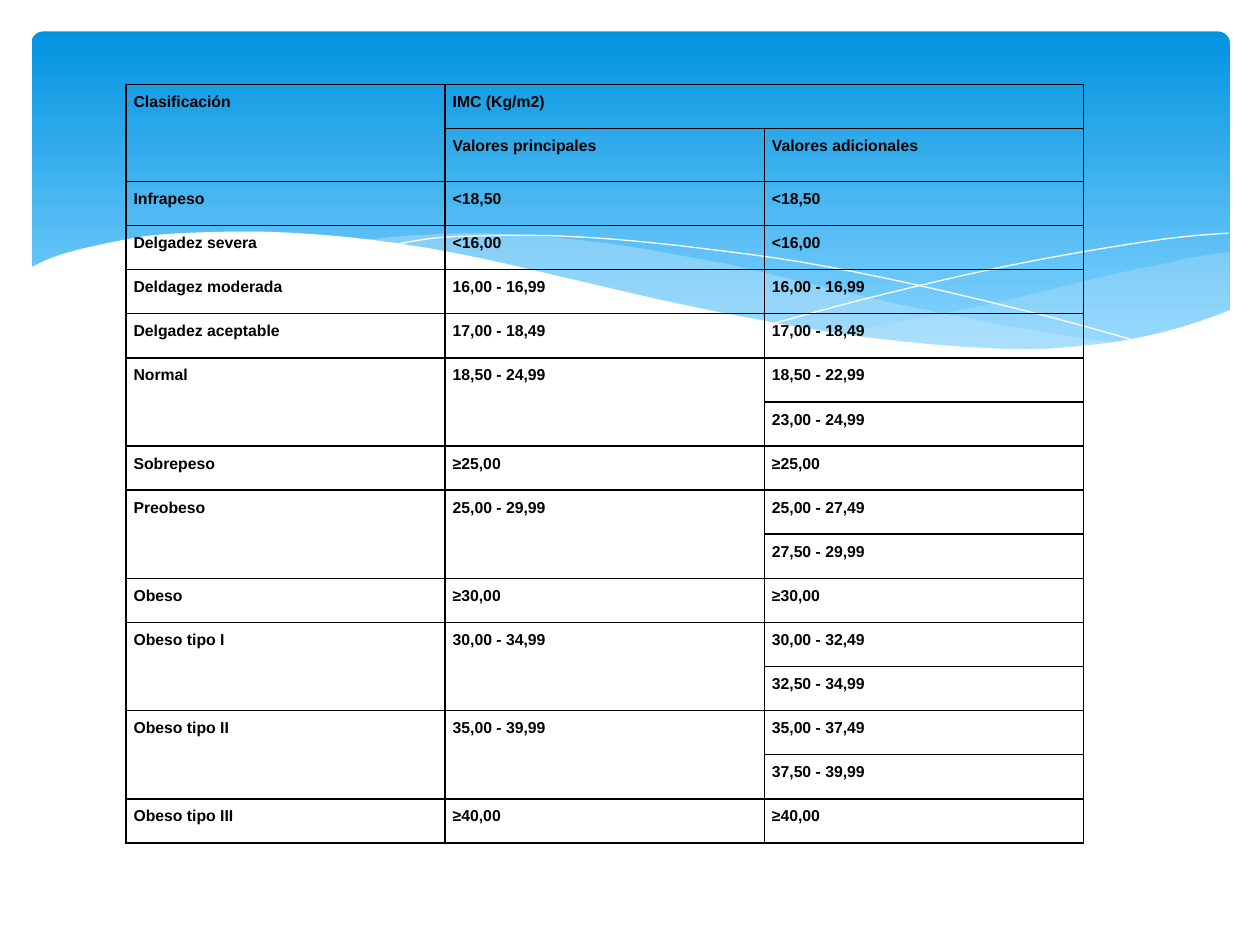
from lxml import etree
from pptx import Presentation
from pptx import util as u
from pptx.dml.color import RGBColor
from pptx.enum import shapes, text
from pptx.oxml.ns import qn

HEADERS = [("Clasificación", "IMC (Kg/m2)", None),
           (None, "Valores principales", "Valores adicionales")]
CLASSES = [
    ("Infrapeso", "<18,50", ["<18,50"]),
    ("Delgadez severa", "<16,00", ["<16,00"]),
    ("Deldagez moderada", "16,00 - 16,99", ["16,00 - 16,99"]),
    ("Delgadez aceptable", "17,00 - 18,49", ["17,00 - 18,49"]),
    ("Normal", "18,50 - 24,99", ["18,50 - 22,99", "23,00 - 24,99"]),
    ("Sobrepeso", "≥25,00", ["≥25,00"]),
    ("Preobeso", "25,00 - 29,99", ["25,00 - 27,49", "27,50 - 29,99"]),
    ("Obeso", "≥30,00", ["≥30,00"]),
    ("Obeso tipo I", "30,00 - 34,99", ["30,00 - 32,49", "32,50 - 34,99"]),
    ("Obeso tipo II", "35,00 - 39,99", ["35,00 - 37,49", "37,50 - 39,99"]),
    ("Obeso tipo III", "≥40,00", ["≥40,00"]),
]

# Knots of the wave edges, in inches from the banner's top left corner
RIGHT_TOP = [(9.51, 1.75), (9.23, 1.79), (8.96, 1.85), (8.66, 1.91), (8.36, 1.98),
             (7.8, 2.12), (7.28, 2.23), (6.81, 2.32), (6.36, 2.4)]
RIGHT_BOTTOM = [(6.36, 2.4), (6.8, 2.46), (7.2, 2.5), (7.56, 2.52), (7.89, 2.53),
                (8.19, 2.52), (8.47, 2.49), (8.72, 2.45), (8.96, 2.4), (9.17, 2.34),
                (9.38, 2.27), (9.51, 2.22)]
MIDDLE_TOP = [(8.68, 2.48), (8.12, 2.4), (7.5, 2.29), (6.81, 2.15), (6.04, 1.97),
              (5.59, 1.86), (5.16, 1.78), (4.77, 1.71), (4.4, 1.66), (3.95, 1.62),
              (3.55, 1.6), (3.19, 1.61), (2.88, 1.63), (2.61, 1.66)]
MIDDLE_BOTTOM = [(2.61, 1.66), (3.17, 1.74), (3.79, 1.86), (4.24, 1.97), (5.05, 2.15),
                 (5.76, 2.3), (6.4, 2.41), (6.97, 2.49), (7.48, 2.52), (7.93, 2.53),
                 (8.32, 2.52), (8.68, 2.48)]
FALLING_LINE = [(2.84, 1.7), (3.19, 1.64), (3.62, 1.62), (4.08, 1.62), (4.64, 1.65),
                (5.31, 1.72), (6.11, 1.83), (7.02, 2.01), (8.06, 2.26), (8.82, 2.47)]
RISING_LINE = [(5.88, 2.32), (6.47, 2.16), (6.95, 2.04), (7.51, 1.91), (8.11, 1.79),
               (8.7, 1.69), (9.13, 1.63), (9.5, 1.6)]
WHITE_EDGE = [(9.52, 2.21), (9.15, 2.34), (8.74, 2.44), (8.38, 2.49), (7.98, 2.52),
              (7.53, 2.51), (7.01, 2.47), (6.43, 2.4), (5.78, 2.29), (5.04, 2.14),
              (4.22, 1.95), (3.66, 1.82), (3.15, 1.72), (2.67, 1.65), (2.25, 1.61),
              (1.86, 1.59), (1.52, 1.59), (1.21, 1.6), (0.94, 1.62), (0.7, 1.66),
              (0.51, 1.7), (0.34, 1.74), (0.15, 1.8), (-0.02, 1.88)]
WHITE_BASE = [(-0.02, 3.04), (9.52, 3.04)]


def rgb(color):
    return RGBColor.from_string(color)


def smooth(knots, steps=4):
    """Points of a Catmull-Rom curve through the knots."""
    ends = [knots[0], *knots, knots[-1]]
    points = [knots[0]]
    for a, b, c, d in zip(ends, ends[1:], ends[2:], ends[3:]):
        for t in (i / steps for i in range(1, steps + 1)):
            points.append(tuple(
                (2 * q + (r - p) * t + (2 * p - 5 * q + 4 * r - w) * t ** 2
                 + (3 * q - p - 3 * r + w) * t ** 3) / 2
                for p, q, r, w in zip(a, b, c, d)))
    return points


def add_outline(s, left, top, points, close):
    points = [(u.Inches(left + x), u.Inches(top + y)) for x, y in points]
    builder = s.shapes.build_freeform(*points[0])
    builder.add_line_segments(points[1:], close=close)
    sp = builder.convert_to_shape()
    sp.shadow.inherit = False
    return sp


def add_wave(s, left, top, points, color, opacity=100):
    sp = add_outline(s, left, top, points, True)
    sp.fill.solid()
    sp.fill.fore_color.rgb = rgb(color)
    sp.line.fill.background()
    if opacity < 100:
        clr = sp.fill._xPr.find(qn("a:solidFill"))[0]
        etree.SubElement(clr, qn("a:alpha"), val=str(opacity * 1000))


def add_hairline(s, left, top, knots):
    sp = add_outline(s, left, top, smooth(knots), False)
    sp.fill.background()
    sp.line.color.rgb = rgb("FFFFFF")
    sp.line.width = u.Pt(0)


def add_banner(s, left, top, width, height):
    sp = s.shapes.add_shape(shapes.MSO_SHAPE.ROUNDED_RECTANGLE, u.Inches(left),
                            u.Inches(top), u.Inches(width), u.Inches(height))
    sp.adjustments[0] = 0.034
    sp.shadow.inherit = False
    sp.line.fill.background()
    sp.fill.gradient()
    sp.fill.gradient_angle = 270
    for stop, color, position in zip(sp.fill.gradient_stops, ("0293E0", "83D3FE"), (0, 0.9)):
        stop.color.rgb = rgb(color)
        stop.position = position
    add_wave(s, left, top, smooth(RIGHT_TOP) + smooth(RIGHT_BOTTOM), "C6E7FC", 29)
    add_wave(s, left, top, smooth(MIDDLE_TOP) + smooth(MIDDLE_BOTTOM), "C6E7FC", 40)
    add_hairline(s, left, top, FALLING_LINE)
    add_hairline(s, left, top, RISING_LINE)
    add_wave(s, left, top, smooth(WHITE_EDGE) + WHITE_BASE, "FFFFFF")


def format_cell(cell):
    cell.margin_left = cell.margin_right = u.Inches(0.06)
    cell.margin_top = cell.margin_bottom = 0
    tcPr = cell._tc.get_or_add_tcPr()
    for side in "LRTB":
        ln = etree.SubElement(tcPr, qn(f"a:ln{side}"), w=str(u.Pt(1)))
        fill = etree.SubElement(ln, qn("a:solidFill"))
        etree.SubElement(fill, qn("a:srgbClr"), val="000000")
    cell.fill.background()
    p = cell.text_frame.paragraphs[0]
    p.alignment = text.PP_ALIGN.JUSTIFY
    p.line_spacing = 1.5
    p.font.size = u.Pt(9)
    for r in p.runs:
        r.font.name = "Arial"
        r.font.size = u.Pt(9)
        r.font.bold = True
        r.font.color.rgb = rgb("000000")


def add_bmi_table(s, left, top, width, row_height):
    rows, merges = list(HEADERS), [(0, 0, 1, 0), (0, 1, 0, 2)]
    for name, main, extras in CLASSES:
        first, last = len(rows), len(rows) + len(extras) - 1
        rows.append((name, main, extras[0]))
        rows += [(None, None, extra) for extra in extras[1:]]
        if last > first:
            merges += [(first, col, last, col) for col in (0, 1)]
    table = s.shapes.add_table(len(rows), 3, u.Inches(left), u.Inches(top), u.Inches(width),
                               u.Inches(row_height * len(rows))).table
    table.first_row = table.horz_banding = False
    for row, values in zip(table.rows, rows):
        row.height = u.Inches(row_height)
        for cell, value in zip(row.cells, values):
            if value:
                cell.text_frame.text = value
            format_cell(cell)
    table.rows[1].height = u.Inches(0.42)
    for r1, c1, r2, c2 in merges:
        table.cell(r1, c1).merge(table.cell(r2, c2))


def main():
    prs = Presentation()
    prs.slide_width, prs.slide_height = u.Inches(10), u.Inches(7.5)
    s = prs.slides.add_slide(prs.slide_layouts[6])
    add_banner(s, 0.25, 0.25, 9.51, 2.7)
    add_bmi_table(s, 1, 0.67, 7.6, 0.35)
    prs.save("out.pptx")


if __name__ == "__main__":
    main()
